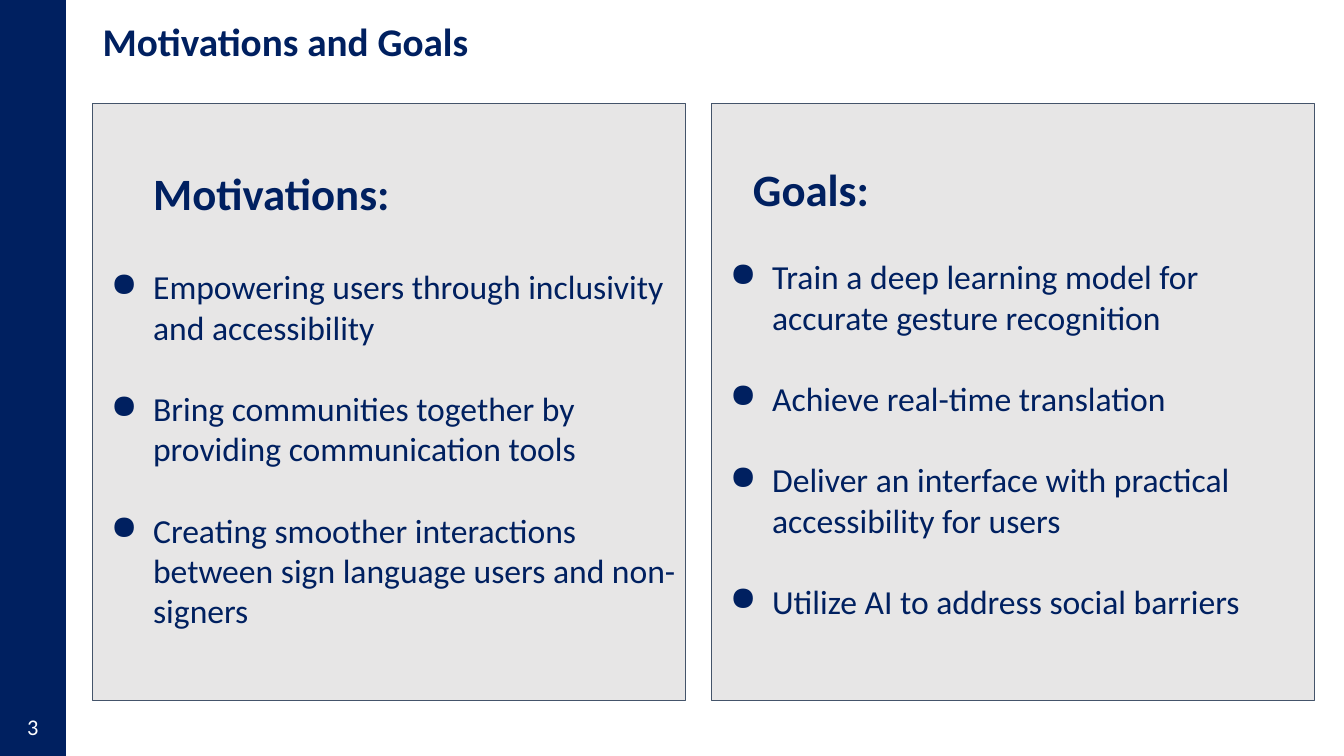
from lxml import etree
from pptx import Presentation
from pptx import util as u
from pptx.dml.color import RGBColor
from pptx.enum import shapes, text
from pptx.oxml import ns

NAVY = RGBColor(0x00, 0x20, 0x60)
WHITE = RGBColor(0xFF, 0xFF, 0xFF)
PANEL_GREY = RGBColor(0xE7, 0xE6, 0xE6)
SLATE = RGBColor(0x44, 0x54, 0x6A)


class PageBuilder:
    font = "Calibri"

    def __init__(self, page):
        self.page = page

    def rectangle(self, left, top, width, height, fill, line, line_width):
        box = self.page.shapes.add_shape(
            shapes.MSO_SHAPE.RECTANGLE, *map(u.Inches, (left, top, width, height))
        )
        box.shadow.inherit = False
        box.fill.solid()
        box.fill.fore_color.rgb = fill
        box.line.color.rgb = line
        box.line.width = u.Pt(line_width)
        return box

    def set_words(self, para, words, size, color=NAVY, bold=False):
        para.text = words
        for span in para.runs:
            span.font.name = self.font
            span.font.size = u.Pt(size)
            span.font.bold = bold
            span.font.color.rgb = color

    def label(self, left, top, width, height, words, size, color, bold, align):
        box = self.page.shapes.add_textbox(*map(u.Inches, (left, top, width, height)))
        frame = box.text_frame
        frame.word_wrap = True
        frame.vertical_anchor = text.MSO_ANCHOR.MIDDLE
        para = frame.paragraphs[0]
        para.alignment = align
        para.line_spacing = 0.9
        self.set_words(para, words, size, color, bold)

    def indent(self, para, margin, first_line=0):
        properties = para._p.get_or_add_pPr()
        properties.set("marL", str(u.Inches(margin)))
        properties.set("indent", str(u.Inches(first_line)))
        return properties

    def bullet(self, para, words, gap):
        para.alignment = text.PP_ALIGN.LEFT
        para.space_before = u.Pt(gap)
        properties = self.indent(para, 0.5, -0.42)
        color = etree.SubElement(properties, ns.qn("a:buClr"))
        etree.SubElement(color, ns.qn("a:srgbClr"), val=str(NAVY))
        etree.SubElement(properties, ns.qn("a:buChar"), char="●")
        self.set_words(para, words, 24)

    def panel(self, left, width, inset, heading, margin, heading_gap, items):
        box = self.rectangle(left, 1.03, width, 5.92, PANEL_GREY, SLATE, 0.75)
        frame = box.text_frame
        frame.word_wrap = True
        frame.vertical_anchor = text.MSO_ANCHOR.TOP
        frame.margin_left = frame.margin_right = u.Inches(0.1)
        frame.margin_top = u.Inches(inset)
        title = frame.paragraphs[0]
        title.alignment = text.PP_ALIGN.LEFT
        self.indent(title, margin)
        self.set_words(title, heading, 32, bold=True)
        for index, words in enumerate(items):
            gap = 29.3 if index else heading_gap
            self.bullet(frame.add_paragraph(), words, gap)


def main():
    deck = Presentation()
    deck.slide_width = u.Inches(13.33)
    deck.slide_height = u.Inches(7.5)
    builder = PageBuilder(deck.slides.add_slide(deck.slide_layouts[6]))

    builder.rectangle(0, 0, 0.65, 7.5, NAVY, NAVY, 1)
    builder.label(0.08, 7.03, 0.49, 0.4, "3", 16, WHITE, False, text.PP_ALIGN.CENTER)
    builder.label(
        0.92, 0, 11.83, 0.87, "Motivations and Goals", 28, NAVY, True, text.PP_ALIGN.LEFT
    )
    builder.panel(7.06, 5.98, 0.57, "Goals:", 0.31, 29.3, [
        "Train a deep learning model for accurate gesture recognition",
        "Achieve real-time translation",
        "Deliver an interface with practical accessibility for users",
        "Utilize AI to address social barriers",
    ])
    builder.panel(0.92, 5.88, 0.61, "Motivations:", 0.5, 33.7, [
        "Empowering users through inclusivity and accessibility",
        "Bring communities together by providing communication tools",
        "Creating smoother interactions between sign language users and non-signers",
    ])
    deck.save("out.pptx")


if __name__ == "__main__":
    main()
